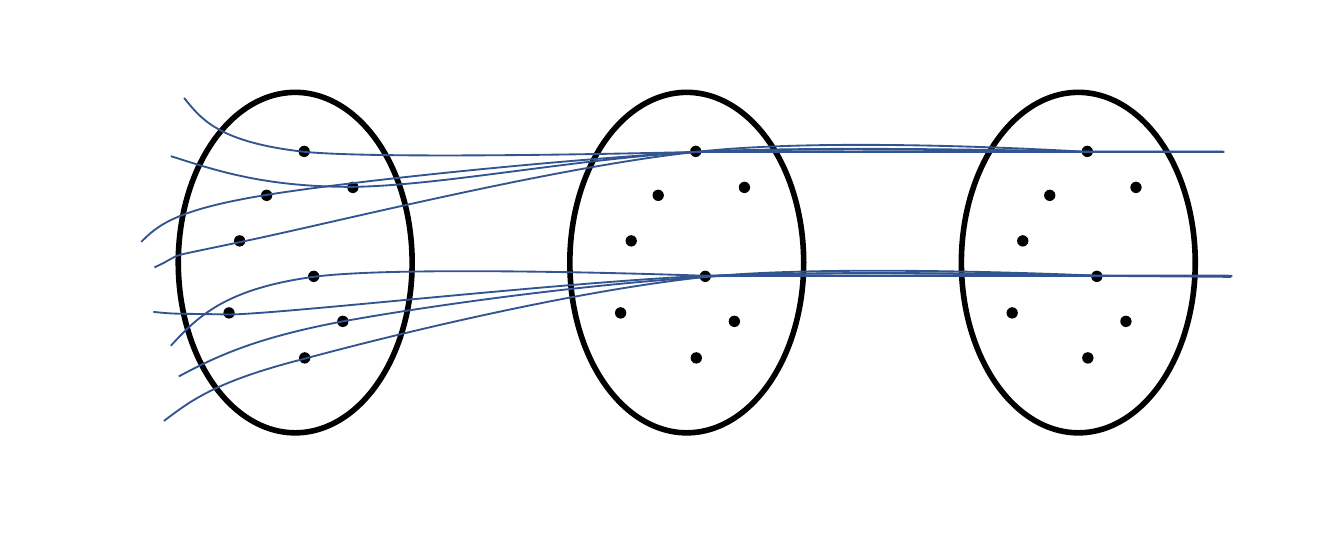
from dataclasses import dataclass

from pptx import Presentation
from pptx.dml.color import RGBColor
from pptx.enum.shapes import MSO_SHAPE
from pptx.oxml.ns import qn
from pptx.util import Cm, Pt

OVAL = MSO_SHAPE.OVAL

SET_COUNT = 3
SET_PITCH = 7.4
SET_CENTER = (5.58, 4.96)
SET_SIZE = (4.42, 6.43)
DOT_SIZE = (0.18, 0.18)
DOTS = [
    (4.53, 4.55), (5.04, 3.69), (5.75, 2.86), (6.67, 3.54),
    (5.93, 5.22), (6.48, 6.07), (5.76, 6.76), (4.33, 5.91),
]
TRAJECTORIES = [
    [(3.48, 1.85), (3.81, 2.26), (4.14, 2.69), (5.77, 2.87),
     (7.39, 3.02), (13.16, 2.87), (13.16, 2.87),
     (13.16, 2.87), (20.55, 2.87), (20.55, 2.87), (23.11, 2.87)],
    [(2.67, 4.57), (2.97, 4.27), (3.3, 3.96), (5.05, 3.68),
     (6.81, 3.4), (10.57, 3.02), (13.16, 2.87),
     (15.75, 2.74), (20.57, 2.87), (20.57, 2.87), (23.11, 2.87)],
    [(3.23, 2.95), (4.11, 3.23), (5.0, 3.53), (6.65, 3.53),
     (8.33, 3.51), (10.85, 3.0), (13.18, 2.87),
     (15.49, 2.77), (20.57, 2.87), (20.57, 2.87), (23.14, 2.87)],
    [(2.92, 5.05), (3.58, 4.75), (2.84, 4.93), (4.55, 4.57),
     (6.25, 4.22), (10.49, 3.15), (13.16, 2.87),
     (15.82, 2.57), (20.55, 2.87), (20.55, 2.87), (23.11, 2.87)],
    [(3.1, 7.95), (3.58, 7.59), (4.04, 7.21), (5.74, 6.78),
     (7.44, 6.32), (10.85, 5.49), (13.34, 5.23),
     (15.85, 4.98), (20.78, 5.21), (20.78, 5.21), (23.22, 5.21)],
    [(3.38, 7.11), (4.09, 6.73), (4.83, 6.38), (6.48, 6.07),
     (8.15, 5.77), (10.97, 5.38), (13.34, 5.23),
     (15.72, 5.08), (20.73, 5.21), (20.73, 5.21), (23.19, 5.21)],
    [(2.9, 5.89), (3.33, 5.94), (3.38, 5.92), (4.32, 5.94),
     (5.23, 5.94), (10.62, 5.33), (13.34, 5.21),
     (16.08, 5.11), (20.75, 5.21), (20.75, 5.21), (23.29, 5.21)],
    [(3.23, 6.53), (3.73, 5.99), (4.24, 5.46), (5.92, 5.23),
     (7.62, 5.0), (13.36, 5.21), (13.36, 5.21),
     (13.36, 5.21), (20.75, 5.21), (20.75, 5.21), (23.27, 5.23)],
]


@dataclass(frozen=True)
class Theme:
    """Colours and line widths of the diagram."""

    ink: RGBColor = RGBColor(0x00, 0x00, 0x00)
    paper: RGBColor = RGBColor(0xFF, 0xFF, 0xFF)
    curve: RGBColor = RGBColor(0x32, 0x54, 0x91)
    thin: Pt = Pt(1)
    thick: Pt = Pt(3)


class Diagram:
    """Draws styled elements on the current slide."""

    def __init__(self, slide, theme):
        self.slide = slide
        self.theme = theme

    def outline(self, s, color, width):
        s.shadow.inherit = False
        s.line.color.rgb = color
        s.line.width = width

    def ellipse(self, shapes, center, size, fill, width):
        left, top = (c - d / 2 for c, d in zip(center, size))
        s = shapes.add_shape(OVAL, Cm(left), Cm(top), *map(Cm, size))
        s.fill.solid()
        s.fill.fore_color.rgb = fill
        self.outline(s, self.theme.ink, width)

    def dotted_set(self, shift):
        shapes = self.slide.shapes.add_group_shape().shapes
        x, y = SET_CENTER
        self.ellipse(shapes, (x + shift, y), SET_SIZE, self.theme.paper, self.theme.thick)
        for x, y in DOTS:
            self.ellipse(shapes, (x + shift, y), DOT_SIZE, self.theme.ink, self.theme.thin)

    def trajectory(self, points):
        start, *rest = [(Cm(x), Cm(y)) for x, y in points]
        builder = self.slide.shapes.build_freeform(*start)
        builder.add_line_segments(rest, close=False)
        s = builder.convert_to_shape()
        s.fill.background()
        self.outline(s, self.theme.curve, self.theme.thin)
        route = s._element.find(".//" + qn("a:path"))
        segments = route.findall(qn("a:lnTo"))
        for i in range(0, len(segments) - 1, 3):
            cubic = route.makeelement(qn("a:cubicBezTo"))
            segments[i].addprevious(cubic)
            for segment in segments[i:i + 3]:
                cubic.append(segment[0])
                route.remove(segment)


def main():
    """Build the slide and save it."""
    prs = Presentation()
    prs.slide_width, prs.slide_height = Cm(25.4), Cm(10.16)
    diagram = Diagram(prs.slides.add_slide(prs.slide_layouts[6]), Theme())
    for i in range(SET_COUNT):
        diagram.dotted_set(i * SET_PITCH)
    for points in TRAJECTORIES:
        diagram.trajectory(points)
    prs.save("out.pptx")


if __name__ == "__main__":
    main()
